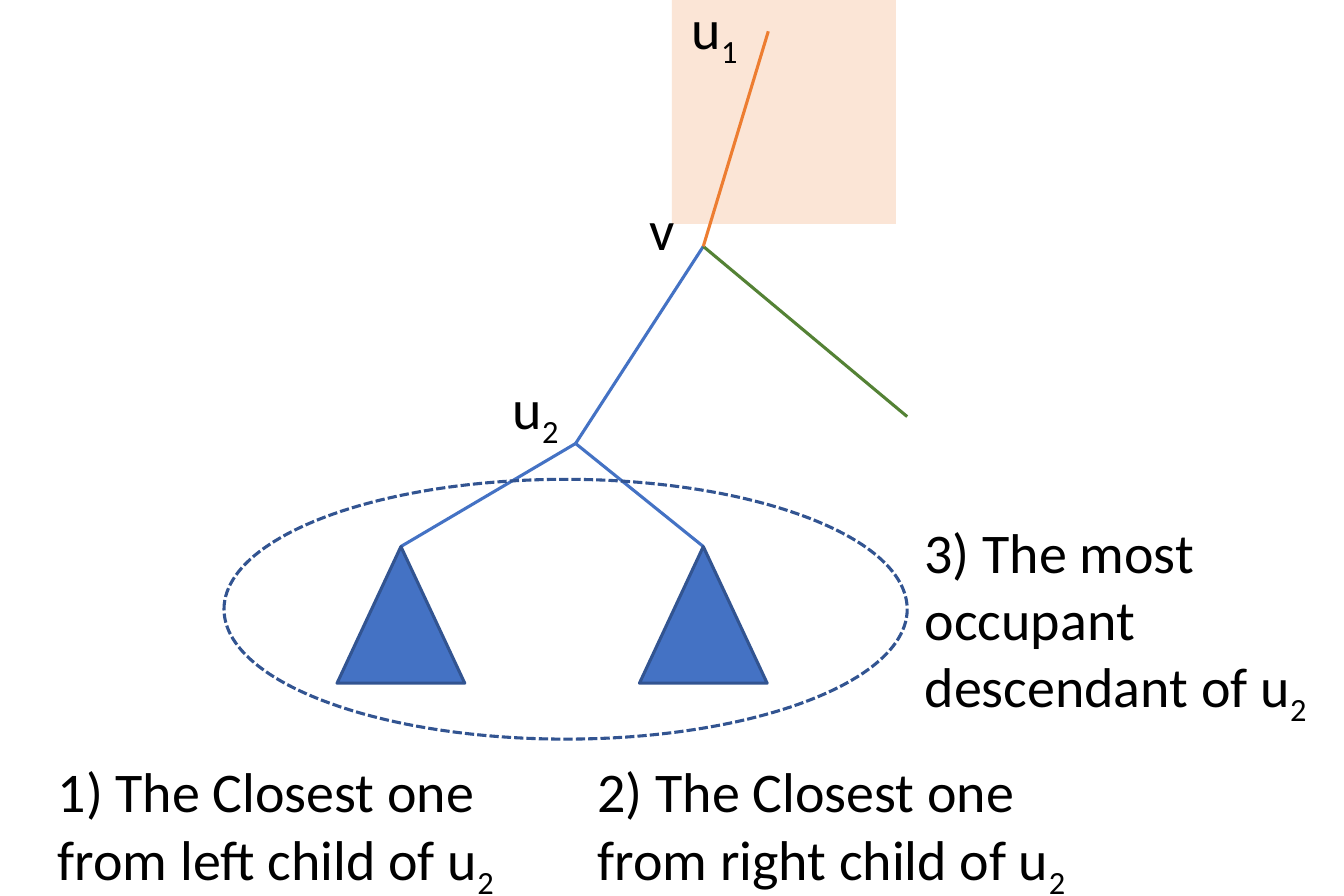
"""Draw a tree whose candidate descendants of u2 are labelled."""
from lxml import etree
from pptx import Presentation
from pptx.dml.color import RGBColor
from pptx.enum import dml, shapes, text
from pptx.oxml import ns
from pptx.util import Inches, Pt

COLORS = {
    "blue": "4472C4",
    "navy": "325491",
    "green": "548235",
    "orange": "ED7D31",
    "peach": "FBE5D6",
    "black": "000000",
}
NODES = {
    "u1": (3.43, 0.14),
    "v": (3.14, 1.1),
    "u2": (2.57, 1.98),
    "left": (1.79, 2.44),
    "right": (3.14, 2.44),
    "other": (4.05, 1.86),
}
REGION_START = (2.92, 0.37)
REGION_CURVES = [
    ((2.93, 0.56), (2.94, 0.75), (2.97, 0.87)),
    ((3.01, 0.99), (3.08, 1.06), (3.14, 1.09)),
    ((3.19, 1.13), (3.2, 1.17), (3.3, 1.06)),
    ((3.4, 0.95), (3.66, 0.58), (3.74, 0.44)),
    ((3.83, 0.29), (3.79, 0.24), (3.82, 0.2)),
]
CURVE_STEPS = 12
TRIANGLE_WIDTH, TRIANGLE_HEIGHT = 0.57, 0.61


def color(name):
    """Return the named colour."""
    return RGBColor.from_string(COLORS[name])


def style_shape(shape, fill=None, line=None, dash=None):
    """Set the fill and outline of a shape and remove its shadow."""
    shape.shadow.inherit = False
    if fill:
        shape.fill.solid()
        shape.fill.fore_color.rgb = color(fill)
    else:
        shape.fill.background()
    if line:
        shape.line.color.rgb = color(line)
        shape.line.width = Pt(1)
        shape.line.dash_style = dash
    else:
        shape.line.fill.background()


def add_preset(slide, kind, box, **style):
    """Add a preset shape in a box of left, top, width and height."""
    shape = slide.shapes.add_shape(kind, *map(Inches, box))
    style_shape(shape, **style)


def add_edge(slide, start, end, line):
    """Join two named nodes with a straight line."""
    points = [Inches(value) for value in NODES[start] + NODES[end]]
    connector = slide.shapes.add_connector(shapes.MSO_CONNECTOR.STRAIGHT, *points)
    connector.line.color.rgb = color(line)
    connector.line.width = Pt(1)
    etree.SubElement(connector._element.spPr, ns.qn("a:effectLst"))


def curve_point(points, t):
    """Return the point at parameter t of a cubic curve."""
    weights = ((1 - t) ** 3, 3 * t * (1 - t) ** 2, 3 * t**2 * (1 - t), t**3)
    return tuple(
        sum(weight * value for weight, value in zip(weights, axis))
        for axis in zip(*points)
    )


def add_region(slide, start, curves, fill):
    """Add a filled region bounded by a chain of cubic curves."""
    builder = slide.shapes.build_freeform(*start, scale=Inches(1))
    for curve in curves:
        points = (start, *curve)
        builder.add_line_segments(
            [curve_point(points, step / CURVE_STEPS) for step in range(1, CURVE_STEPS + 1)],
            close=False,
        )
        start = curve[-1]
    builder.add_line_segments([], close=True)
    style_shape(builder.convert_to_shape(), fill=fill)


def add_text(slide, content, box, size=18, font="Calibri", fill="black"):
    """Add text in which an underscore starts the subscript ending a line."""
    shape = slide.shapes.add_textbox(*map(Inches, box))
    frame = shape.text_frame
    frame.word_wrap = True
    frame.auto_size = text.MSO_AUTO_SIZE.SHAPE_TO_FIT_TEXT
    for index, line in enumerate(content.split("\n")):
        paragraph = frame.add_paragraph() if index else frame.paragraphs[0]
        for position, part in enumerate(line.split("_")):
            run = paragraph.add_run()
            run.text = part
            run.font.size = Pt(size)
            run.font.name = font
            run.font.color.rgb = color(fill)
            if position:
                run._r.get_or_add_rPr().set("baseline", "-25000")


def main():
    """Build and save the slide."""
    presentation = Presentation()
    presentation.slide_width, presentation.slide_height = Inches(6), Inches(4)
    slide = presentation.slides.add_slide(presentation.slide_layouts[6])

    add_region(slide, REGION_START, REGION_CURVES, "peach")
    for start, end, line in (
        ("v", "u2", "blue"),
        ("u2", "left", "blue"),
        ("right", "u2", "blue"),
        ("v", "other", "green"),
        ("u1", "v", "orange"),
    ):
        add_edge(slide, start, end, line)
    for child in ("left", "right"):
        x, y = NODES[child]
        box = (x - TRIANGLE_WIDTH / 2, y, TRIANGLE_WIDTH, TRIANGLE_HEIGHT)
        add_preset(slide, shapes.MSO_SHAPE.ISOSCELES_TRIANGLE, box, fill="blue", line="navy")
    add_preset(
        slide, shapes.MSO_SHAPE.OVAL, (1, 2.14, 3.05, 1.16),
        line="navy", dash=dml.MSO_LINE.SQUARE_DOT,
    )
    for content, box in (
        ("v", (2.8, 0.82, 0.44, 0.25)),
        ("u_1", (2.99, -0.08, 0.44, 0.25)),
        ("u_2", (2.19, 1.62, 0.44, 0.25)),
        ("1) The Closest one from left child of u_2", (0.16, 3.33, 2.37, 0.25)),
        ("2) The Closest one \nfrom right child of u_2", (2.57, 3.33, 2.5, 0.39)),
        ("3) The most occupant descendant of u_2", (4.03, 2.26, 2.36, 0.25)),
    ):
        add_text(slide, content, box)

    presentation.save("out.pptx")


if __name__ == "__main__":
    main()
